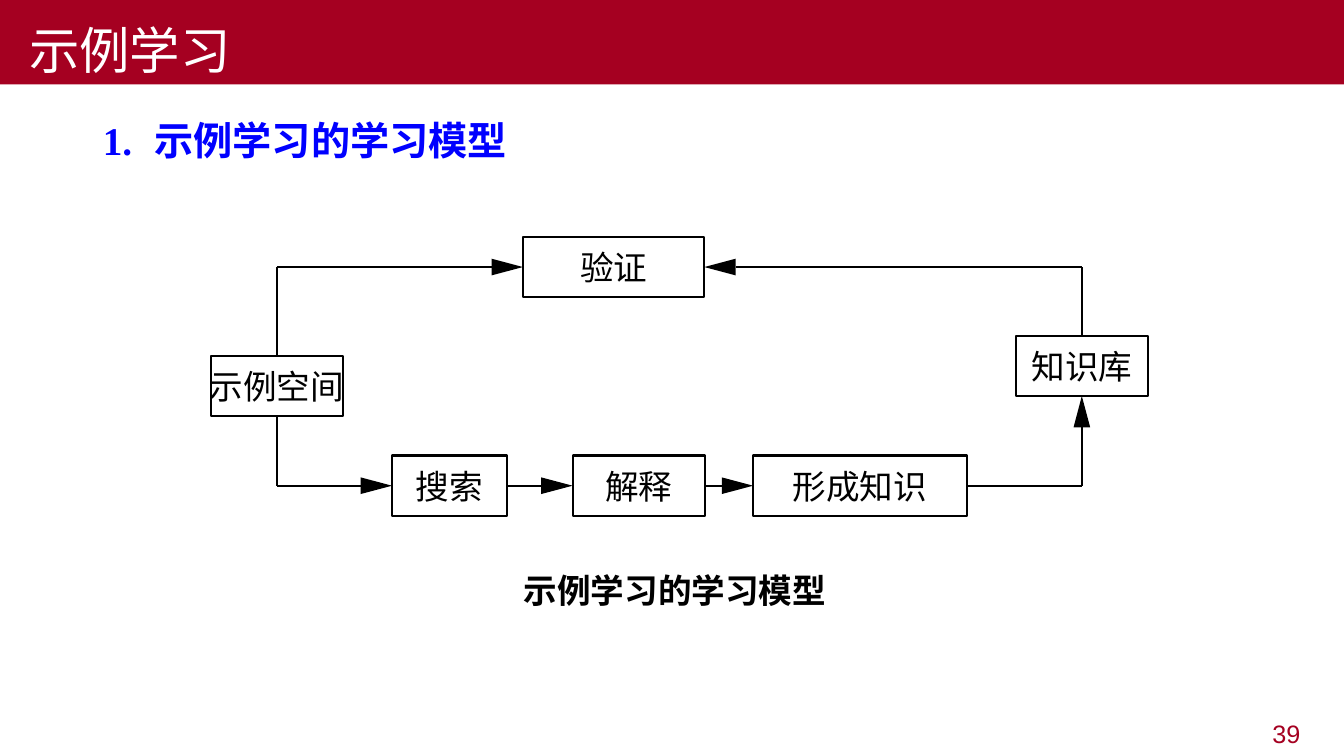
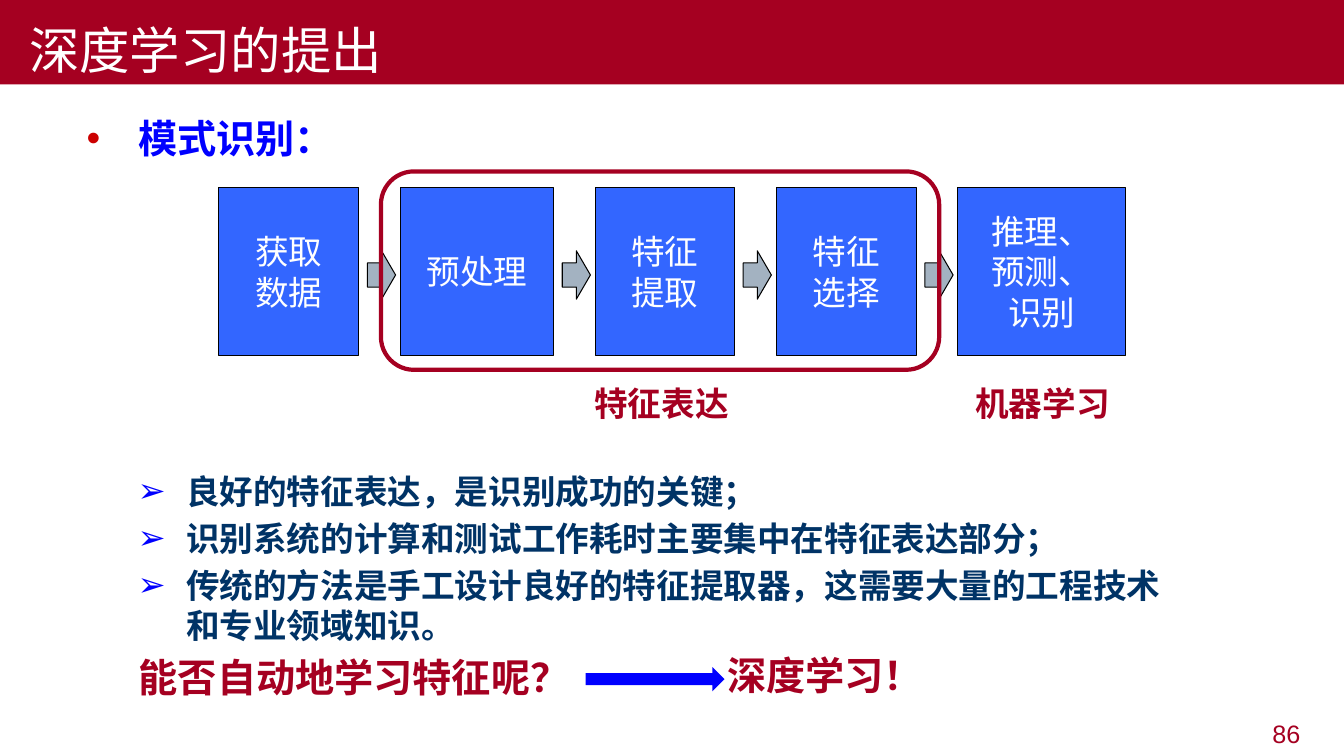
"""Build two lecture slides on learning models."""
import lxml.etree
import pptx
import pptx.dml.color
import pptx.enum.shapes
import pptx.enum.text
import pptx.oxml.ns
import pptx.util

Cm = pptx.util.Cm
Pt = pptx.util.Pt
qn = pptx.oxml.ns.qn
KIND = pptx.enum.shapes.MSO_SHAPE
ALIGN = pptx.enum.text.PP_ALIGN
ANCHOR = pptx.enum.text.MSO_ANCHOR
NOFIT = pptx.enum.text.MSO_AUTO_SIZE.NONE

WIDE, HIGH = 33.87, 19.05
RED, BLUE, BLACK, WHITE = "A50021", "0000FF", "000000", "FFFFFF"
HAN = "Noto Sans CJK SC"
TITLE = dict(name="Times New Roman", size=Pt(36), bold=False, color=WHITE)
HEAD = dict(name="Times New Roman", size=Pt(28), bold=True, color=BLUE)
LABEL = dict(name="Times New Roman", size=Pt(24), bold=True, color=RED)
NODE = dict(name=HAN, size=Pt(24), color=BLACK)
STEP = dict(NODE, color=WHITE)
NOTE = dict(name="Arial", size=Pt(24), bold=True, color="003366")
ASK = dict(NOTE, size=Pt(28), color=RED)
PAGE = dict(name="Arial", size=Pt(18), color=RED)
MID = dict(alignment=ALIGN.CENTER)


def tint(code):
    """Turn a hex string into a colour."""
    return pptx.dml.color.RGBColor.from_string(code)


def put(item, form):
    """Set every attribute named in a dict."""
    for name, value in form.items():
        setattr(item, name, value)


def place(item, box):
    """Move an item to a box given in centimetres."""
    put(item, dict(zip(("left", "top", "width", "height"), map(Cm, box))))


def write(part, text, font, form):
    """Fill one paragraph with a styled run."""
    put(part, form)
    run = part.add_run()
    run.text = text
    put(run.font, {k: v for k, v in font.items() if k != "color"})
    run.font.color.rgb = tint(font["color"])
    east = lxml.etree.SubElement(run.font._element, qn("a:ea"))
    east.set("typeface", HAN)


def fill(frame, lines, font, form):
    """Write lines as the paragraphs of a text frame."""
    for i, line in enumerate(lines):
        part = frame.add_paragraph() if i else frame.paragraphs[0]
        write(part, line, font, form)


def indent(part, left, first, mark=None, color=BLACK):
    """Give a paragraph its indents and its bullet."""
    props = part._p.get_or_add_pPr()
    props.set("marL", str(Cm(left)))
    props.set("indent", str(Cm(first)))
    if mark is None:
        lxml.etree.SubElement(props, qn("a:buNone"))
        return
    hue = lxml.etree.SubElement(props, qn("a:buClr"))
    lxml.etree.SubElement(hue, qn("a:srgbClr")).set("val", color)
    lxml.etree.SubElement(props, qn("a:buFont")).set("typeface", "Arial")
    lxml.etree.SubElement(props, qn("a:buChar")).set("char", mark)


def label(slide, box, text, font, form=None):
    """Add a one-line text box."""
    frame = slide.shapes.add_textbox(*map(Cm, box)).text_frame
    frame.word_wrap = True
    fill(frame, [text], font, form or {})


def shape(slide, kind, box, paint=None, edge=None, width=0.75):
    """Add a preset shape with its fill and outline."""
    item = slide.shapes.add_shape(kind, *map(Cm, box))
    item.shadow.inherit = False
    if paint:
        item.fill.solid()
        item.fill.fore_color.rgb = tint(paint)
    else:
        item.fill.background()
    if edge:
        item.line.color.rgb = tint(edge)
        item.line.width = Pt(width)
    else:
        item.line.fill.background()
    return item


def base(deck, title, page, head, box, mark=None):
    """Add a slide with its title band, heading and page number."""
    slide = deck.slides.add_slide(deck.slide_layouts[1])
    band, body = slide.shapes.title, slide.placeholders[1]
    place(band, (0, 0, WIDE, 2.13))
    band.fill.solid()
    band.fill.fore_color.rgb = tint(RED)
    put(band.text_frame, dict(auto_size=NOFIT, vertical_anchor=ANCHOR.BOTTOM))
    indent(band.text_frame.paragraphs[0], 0, 0.48)
    fill(band.text_frame, [title], TITLE, dict(alignment=ALIGN.LEFT))
    place(body, box)
    body.text_frame.auto_size = NOFIT
    indent(body.text_frame.paragraphs[0], 1.3, -1.3, mark, "CC0000")
    fill(body.text_frame, [head], HEAD,
         dict(line_spacing=1.2, space_before=Pt(0)))
    label(slide, (25.68, 17.98, 7.34, 0.99), page, PAGE,
          dict(alignment=ALIGN.RIGHT))
    return slide


def route(slide, dots):
    """Draw a path of straight lines that ends in an arrowhead."""
    (px, py), (x, y) = dots[-2:]
    far = abs(x - px) + abs(y - py)
    dx, dy = (x - px) / far, (y - py) / far
    bx, by = x - 0.79 * dx, y - 0.79 * dy
    stops = dots[:-1] + [(bx, by)]
    for start, end in zip(stops, stops[1:]):
        line = slide.shapes.add_connector(
            pptx.enum.shapes.MSO_CONNECTOR.STRAIGHT, *map(Cm, start + end))
        line.line.color.rgb = tint(BLACK)
        line.line.width = Pt(1.5)
        lxml.etree.SubElement(line._element.spPr, qn("a:effectLst"))
    sx, sy = 0.21 * dy, 0.21 * dx
    path = slide.shapes.build_freeform(Cm(x), Cm(y))
    path.add_line_segments([(Cm(bx + sx), Cm(by + sy)),
                            (Cm(bx - sx), Cm(by - sy))])
    head = path.convert_to_shape()
    head.shadow.inherit = False
    head.fill.solid()
    head.fill.fore_color.rgb = tint(BLACK)
    head.line.fill.background()


def model(slide, box):
    """Draw the learning loop inside a box."""
    left, top, wide, high = box
    tall = 1.52
    low = high - tall
    nodes = {
        "示例空间": (0, 3, 3.33),
        "验证": (7.87, 0, 4.57),
        "搜索": (4.57, low, 2.9),
        "解释": (9.12, low, 3.33),
        "形成知识": (13.67, low, 5.38),
        "知识库": (wide - 3.33, 2.49, 3.33),
    }
    edges = {}
    for name, (x, y, w) in nodes.items():
        x, y = left + x, top + y
        item = shape(slide, KIND.RECTANGLE, (x, y, w, tall), None, BLACK, 1.5)
        put(item.text_frame, dict(
            margin_left=0, margin_right=0, margin_top=0, margin_bottom=0,
            word_wrap=False, vertical_anchor=ANCHOR.MIDDLE))
        fill(item.text_frame, [name], NODE, MID)
        edges[name] = dict(w=(x, y + tall / 2), e=(x + w, y + tall / 2),
                           n=(x + w / 2, y), s=(x + w / 2, y + tall))
    space, check, seek, solve, form, store = edges.values()
    route(slide, [space["n"], (space["n"][0], check["w"][1]), check["w"]])
    route(slide, [space["s"], (space["s"][0], seek["w"][1]), seek["w"]])
    route(slide, [seek["e"], solve["w"]])
    route(slide, [solve["e"], form["w"]])
    route(slide, [form["e"], (store["s"][0], form["e"][1]), store["s"]])
    route(slide, [store["n"], (store["n"][0], check["e"][1]), check["e"]])
    label(slide, (left + 7.5, top + high + 1.23, 8.4, 1.3),
          "示例学习的学习模型", dict(NODE, bold=True), MID)


def chain(slide, box):
    """Draw the row of steps, the frame and its labels inside a box."""
    left, top, _, high = box
    gap = 1.05
    steps = [
        (3.53, ["获取", "数据"]),
        (3.86, ["预处理"]),
        (3.51, ["特征", "提取"]),
        (3.53, ["特征", "选择"]),
        (4.22, ["推理、", "预测、", "识别"]),
    ]
    x = left
    for i, (wide, lines) in enumerate(steps):
        if i:
            shape(slide, KIND.RIGHT_ARROW, (x - gap + 0.22, top + 1.6, 0.71, 1.22),
                  "A3B2C1", BLACK)
        item = shape(slide, KIND.RECTANGLE, (x, top, wide, high), "3366FF", BLACK)
        item.text_frame.vertical_anchor = ANCHOR.MIDDLE
        fill(item.text_frame, lines, STEP, MID)
        x += wide + gap
    shape(slide, KIND.ROUNDED_RECTANGLE,
          (left + 4.09, top - 0.4, 14.07, high + 0.76), None, RED, 3)
    for shift, text in ((9.22, "特征表达"), (18.82, "机器学习")):
        label(slide, (left + shift, top + high + 0.56, 4.19, 1.3), text, LABEL)


def notes(slide, box):
    """Write the bullet list and the closing question inside a box."""
    left, top, _, _ = box
    frame = slide.shapes.add_textbox(*map(Cm, box)).text_frame
    frame.word_wrap = True
    lines = [
        "良好的特征表达，是识别成功的关键；",
        "识别系统的计算和测试工作耗时主要集中在特征表达部分；",
        "传统的方法是手工设计良好的特征提取器，这需要大量的工程技术和专业领域知识。",
    ]
    fill(frame, lines, NOTE, {})
    for i, part in enumerate(frame.paragraphs):
        indent(part, 2.51, -1.22, "➢", BLUE)
        part.space_before = Pt(4.8 if i else 0)
    last = frame.add_paragraph()
    indent(last, 1.32, 0)
    write(last, "能否自动地学习特征呢？", ASK, dict(space_before=Pt(5.6)))
    label(slide, (left + 16.15, top + 4.57, 6, 1.45), "深度学习！", ASK)
    shape(slide, KIND.RIGHT_ARROW, (left + 12.83, top + 5.08, 3.5, 0.61), BLUE)


def main():
    """Build and save the deck."""
    deck = pptx.Presentation()
    put(deck, dict(slide_width=Cm(WIDE), slide_height=Cm(HIGH)))
    slide = base(deck, "示例学习", "39", "1.\t示例学习的学习模型",
                 (2.34, 2.57, 29, 15))
    model(slide, (5.31, 5.97, 23.62, 7.03))
    slide = base(deck, "深度学习的提出", "86", "模式识别：",
                 (1.93, 2.51, 27, 9), "•")
    chain(slide, (5.51, 4.72, 22.85, 4.24))
    notes(slide, (1.93, 11.73, 27.71, 6.8))
    deck.save("out.pptx")


if __name__ == "__main__":
    main()
